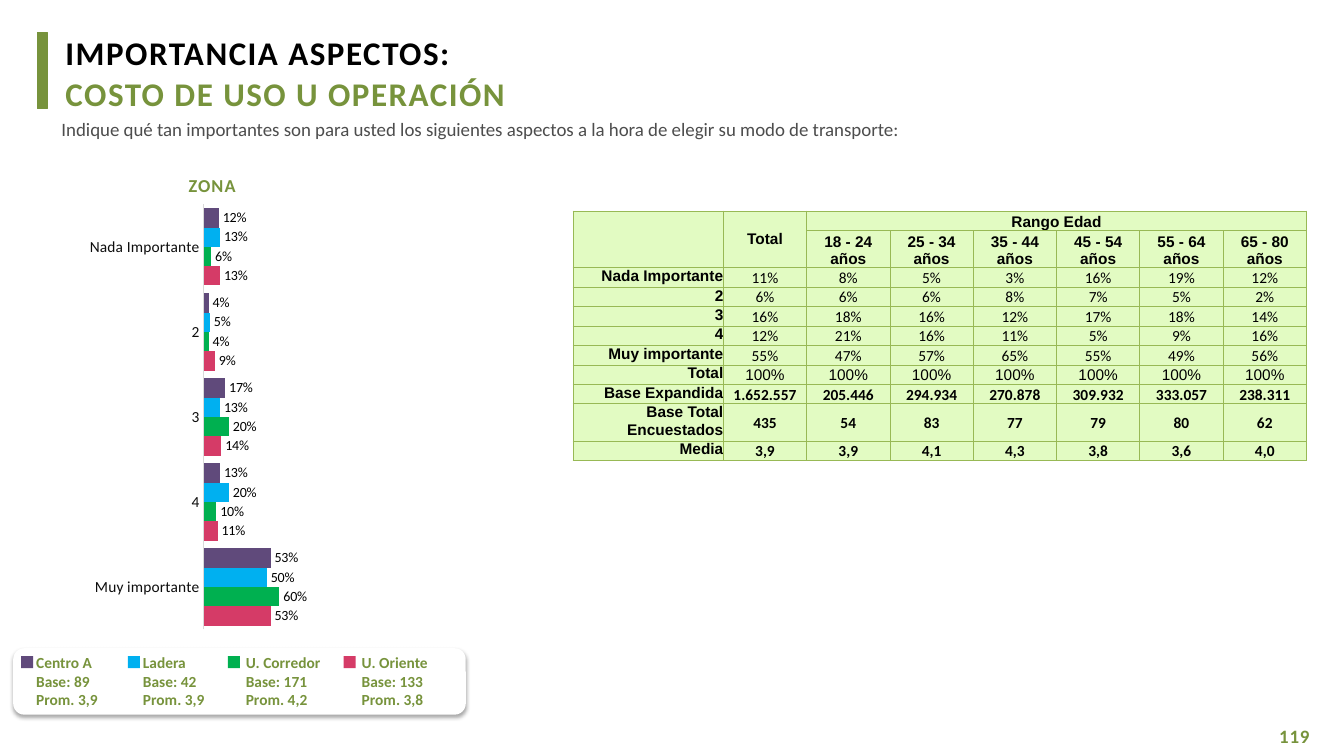
from lxml import etree
from pptx import Presentation
from pptx import util as u
from pptx.chart import data
from pptx.dml.color import RGBColor
from pptx.enum import chart as ch, shapes, text
from pptx.oxml import parse_xml
from pptx.oxml.ns import nsdecls, qn

GREEN = RGBColor(0x77, 0x93, 0x3C)
BLACK = RGBColor(0, 0, 0)
DARK = RGBColor(0x0D, 0x0D, 0x0D)
GREY = RGBColor(0x4D, 0x4D, 0x4D)
AXIS = RGBColor(0xD9, 0xD9, 0xD9)
WHITE = RGBColor(0xFF, 0xFF, 0xFF)
PURPLE = RGBColor(0x60, 0x4A, 0x7B)
BLUE = RGBColor(0x00, 0xB0, 0xF0)
LEAF = RGBColor(0x00, 0xB0, 0x50)
PINK = RGBColor(0xD5, 0x3B, 0x67)
CELL = RGBColor(0xE2, 0xFB, 0xC2)
BORDER = RGBColor(0x98, 0xB9, 0x55)

LEVELS = ["Nada Importante", "2", "3", "4", "Muy importante"]
ZONES = [
    ("Centro A", "89", "3,9", PURPLE, 15.1, 3.6, 59, [0.12, 0.04, 0.17, 0.13, 0.53]),
    ("Ladera", "42", "3,9", BLUE, 91.4, 3.6, 59, [0.13, 0.05, 0.13, 0.2, 0.5]),
    ("U. Corredor", "171", "4,2", LEAF, 162.7, 5.8, 68.4, [0.06, 0.04, 0.2, 0.1, 0.6]),
    ("U. Oriente", "133", "3,8", PINK, 245.5, 5.8, 62.6, [0.13, 0.09, 0.14, 0.11, 0.53]),
]
AGES = ["18 - 24", "25 - 34", "35 - 44", "45 - 54", "55 - 64", "65 - 80"]
ROWS = [
    ("Nada Importante", "11% 8% 5% 3% 16% 19% 12%"),
    ("2", "6% 6% 6% 8% 7% 5% 2%"),
    ("3", "16% 18% 16% 12% 17% 18% 14%"),
    ("4", "12% 21% 16% 11% 5% 9% 16%"),
    ("Muy importante", "55% 47% 57% 65% 55% 49% 56%"),
    ("Total", "100% 100% 100% 100% 100% 100% 100%"),
    ("Base Expandida", "1.652.557 205.446 294.934 270.878 309.932 333.057 238.311"),
    ("Base Total Encuestados", "435 54 83 77 79 80 62"),
    ("Media", "3,9 3,9 4,1 4,3 3,8 3,6 4,0"),
]
LEFT, CENTER, RIGHT = text.PP_ALIGN.LEFT, text.PP_ALIGN.CENTER, text.PP_ALIGN.RIGHT
MIDDLE, BOTTOM, TOP = text.MSO_ANCHOR.MIDDLE, text.MSO_ANCHOR.BOTTOM, text.MSO_ANCHOR.TOP


class Slide:
    font = "Calibri"
    percent = "###0%"

    def __init__(self, prs):
        self.s = prs.slides.add_slide(prs.slide_layouts[6])
        self.shapes = self.s.shapes

    def group(self):
        self.shapes = self.s.shapes.add_group_shape().shapes

    def ungroup(self):
        self.shapes = self.s.shapes

    def style(self, font, size, color, bold=False, name=None):
        font.name = name or self.font
        font.size = u.Pt(size)
        font.bold = bold
        font.color.rgb = color

    def run(self, p, words, size, color, bold=False, spacing=0, name=None):
        r = p.add_run()
        r.text = words
        self.style(r.font, size, color, bold, name)
        if spacing:
            r._r.get_or_add_rPr().set("spc", str(round(spacing * 100)))

    def box(self, x, y, w, h, lines, size, bold=True, spacing=0, align=LEFT,
            insets=(0.7, 0.7, 0, 0), wrap=True, gap=0):
        sp = self.shapes.add_textbox(u.Pt(x), u.Pt(y), u.Pt(w), u.Pt(h))
        tf = sp.text_frame
        tf.word_wrap = wrap
        tf.auto_size = text.MSO_AUTO_SIZE.SHAPE_TO_FIT_TEXT
        tf.margin_left, tf.margin_top, tf.margin_right, tf.margin_bottom = map(u.Pt, insets)
        for i, (words, color) in enumerate(lines):
            p = tf.add_paragraph() if i else tf.paragraphs[0]
            p.alignment = align
            if i and gap:
                p.space_before = u.Pt(gap)
            self.run(p, words, size, color, bold, spacing)

    def block(self, x, y, w, h, fill, kind=shapes.MSO_SHAPE.RECTANGLE, line=None):
        sp = self.shapes.add_shape(kind, u.Pt(x), u.Pt(y), u.Pt(w), u.Pt(h))
        sp.shadow.inherit = False
        sp.fill.solid()
        sp.fill.fore_color.rgb = fill
        if line:
            sp.line.color.rgb = line
            sp.line.width = u.Pt(0.75)
        else:
            sp.line.fill.background()
        return sp

    def card(self, x, y, w, h):
        sp = self.block(x, y, w, h, WHITE, shapes.MSO_SHAPE.ROUNDED_RECTANGLE)
        effects = sp._element.spPr.find(qn("a:effectLst"))
        effects.append(parse_xml(
            f'<a:outerShdw {nsdecls("a")} blurRad="{u.Pt(3.1)}" dist="{u.Pt(1.8)}" '
            'dir="5400000" algn="t" rotWithShape="0"><a:srgbClr val="000000">'
            '<a:alpha val="35000"/></a:srgbClr></a:outerShdw>'))

    def bars(self, x, y, w, h, categories, series, layout):
        cd = data.CategoryChartData(number_format=self.percent)
        cd.categories = categories
        for name, values, _ in series:
            cd.add_series(name, values)
        chart = self.shapes.add_chart(ch.XL_CHART_TYPE.BAR_CLUSTERED, u.Pt(x), u.Pt(y),
                                      u.Pt(w), u.Pt(h), cd).chart
        chart.has_legend = chart.has_title = False
        self.style(chart.font, 10, BLACK)
        plot = chart.plots[0]
        plot.gap_width, plot.overlap, plot.vary_by_categories = 40, 0, False
        for ser, (_, _, color) in zip(plot.series, series):
            ser.format.fill.solid()
            ser.format.fill.fore_color.rgb = color
            labels = ser.data_labels
            labels.show_value = True
            labels.position = ch.XL_LABEL_POSITION.OUTSIDE_END
            labels.number_format, labels.number_format_is_linked = self.percent, False
            self.style(labels.font, 10, BLACK)
        cat, val = chart.category_axis, chart.value_axis
        cat.reverse_order = True
        cat.major_tick_mark = cat.minor_tick_mark = ch.XL_TICK_MARK.NONE
        cat.format.line.color.rgb = AXIS
        cat.format.line.width = u.Pt(0.75)
        self.style(cat.tick_labels.font, 11, DARK)
        val.minimum_scale, val.maximum_scale = 0, 1
        val.has_major_gridlines = val.visible = False
        area = chart._chartSpace.chart.plotArea
        for old in area.findall(qn("c:layout")):
            area.remove(old)
        frame = parse_xml(f'<c:layout {nsdecls("c")}><c:manualLayout/></c:layout>')
        settings = [("layoutTarget", "inner"), ("xMode", "edge"), ("yMode", "edge")]
        for tag, value in settings + list(zip("xywh", layout)):
            etree.SubElement(frame[0], qn(f"c:{tag}")).set("val", str(value))
        area.insert(0, frame)

    def grid(self, x, y, widths, heights):
        table = self.shapes.add_table(len(heights), len(widths), u.Pt(x), u.Pt(y),
                                      u.Pt(sum(widths)), u.Pt(sum(heights))).table
        for col, width in zip(table.columns, widths):
            col.width = u.Pt(width)
        for row, height in zip(table.rows, heights):
            row.height = u.Pt(height)
        for c in table.iter_cells():
            c.margin_left = c.margin_top = c.margin_right = c.margin_bottom = 0
            tcPr = c._tc.get_or_add_tcPr()
            for side in "LRTB":
                tcPr.append(parse_xml(
                    f'<a:ln{side} {nsdecls("a")} w="{u.Pt(0.75)}"><a:solidFill>'
                    f'<a:srgbClr val="{BORDER}"/></a:solidFill></a:ln{side}>'))
            c.fill.solid()
            c.fill.fore_color.rgb = CELL
        return table

    def cell(self, c, words, align=CENTER, anchor=MIDDLE, bold=True, name="Arial"):
        c.vertical_anchor = anchor
        if name == self.font:
            c.margin_left = c.margin_top = c.margin_right = u.Pt(0.7)
        p = c.text_frame.paragraphs[0]
        p.alignment = align
        self.run(p, words, 11, BLACK, bold, name=name)


def main():
    prs = Presentation()
    prs.slide_width, prs.slide_height = u.Pt(960), u.Pt(540)
    s = Slide(prs)

    s.block(26.6, 23, 7.2, 54.7, GREEN, line=GREEN)
    s.box(909.4, 517, 35.3, 17.3, [("119", GREEN)], 13.5, spacing=0.6,
          insets=(4.3, 0.7, 0, 0))
    s.box(66.2, 123.8, 169.9, 16.6, [("ZONA", GREEN)], 13, spacing=0.8, align=CENTER)

    s.group()
    s.card(9.4, 463, 323.3, 47.5)
    for zone, base, mean, color, x, shift, width, _ in ZONES:
        s.block(x, 468.7, 8.6, 8.6, color)
        lines = [(words, GREEN) for words in (zone, f"Base: {base}", f"Prom. {mean}")]
        s.box(x + shift, 463, width, 47.5, lines, 11, insets=(7.2, 3.6, 7.2, 3.6), wrap=False)
    s.ungroup()

    s.bars(-2.2, 133.9, 242.6, 326.2, LEVELS, [(z[0], z[-1], z[3]) for z in ZONES],
           (0.609, 0.037, 0.372, 0.931))
    s.box(43.2, 83.3, 759.6, 17.3,
          [("Indique qué tan importantes son para usted los siguientes aspectos a la hora "
            "de elegir su modo de transporte:", GREY)], 13.5, bold=False)
    s.box(46.1, 22.7, 774.7, 59, [("IMPORTANCIA ASPECTOS:", BLACK),
                                  ("COSTO DE USO U OPERACIÓN", GREEN)],
          23.6, spacing=1.05, gap=0.7)

    heights = [13.9, 26.4] + [26.4 if name == "Base Total Encuestados" else 13.9
                              for name, _ in ROWS]
    table = s.grid(409.4, 150.8, [107.3] + [59.5] * 7, heights)
    for top, left, bottom, right in [(0, 0, 1, 0), (0, 1, 1, 1), (0, 2, 0, 7)]:
        table.cell(top, left).merge(table.cell(bottom, right))
    s.cell(table.cell(0, 1), "Total")
    s.cell(table.cell(0, 2), "Rango Edad", anchor=BOTTOM)
    for j, age in enumerate(AGES, 2):
        s.cell(table.cell(1, j), f"{age} años", anchor=BOTTOM)
    for i, (name, values) in enumerate(ROWS, 2):
        s.cell(table.cell(i, 0), name, RIGHT, TOP)
        for j, value in enumerate(values.split(), 1):
            s.cell(table.cell(i, j), value, bold="%" not in value,
                   name="Arial" if name == "Total" else s.font)

    prs.save("out.pptx")


if __name__ == "__main__":
    main()
